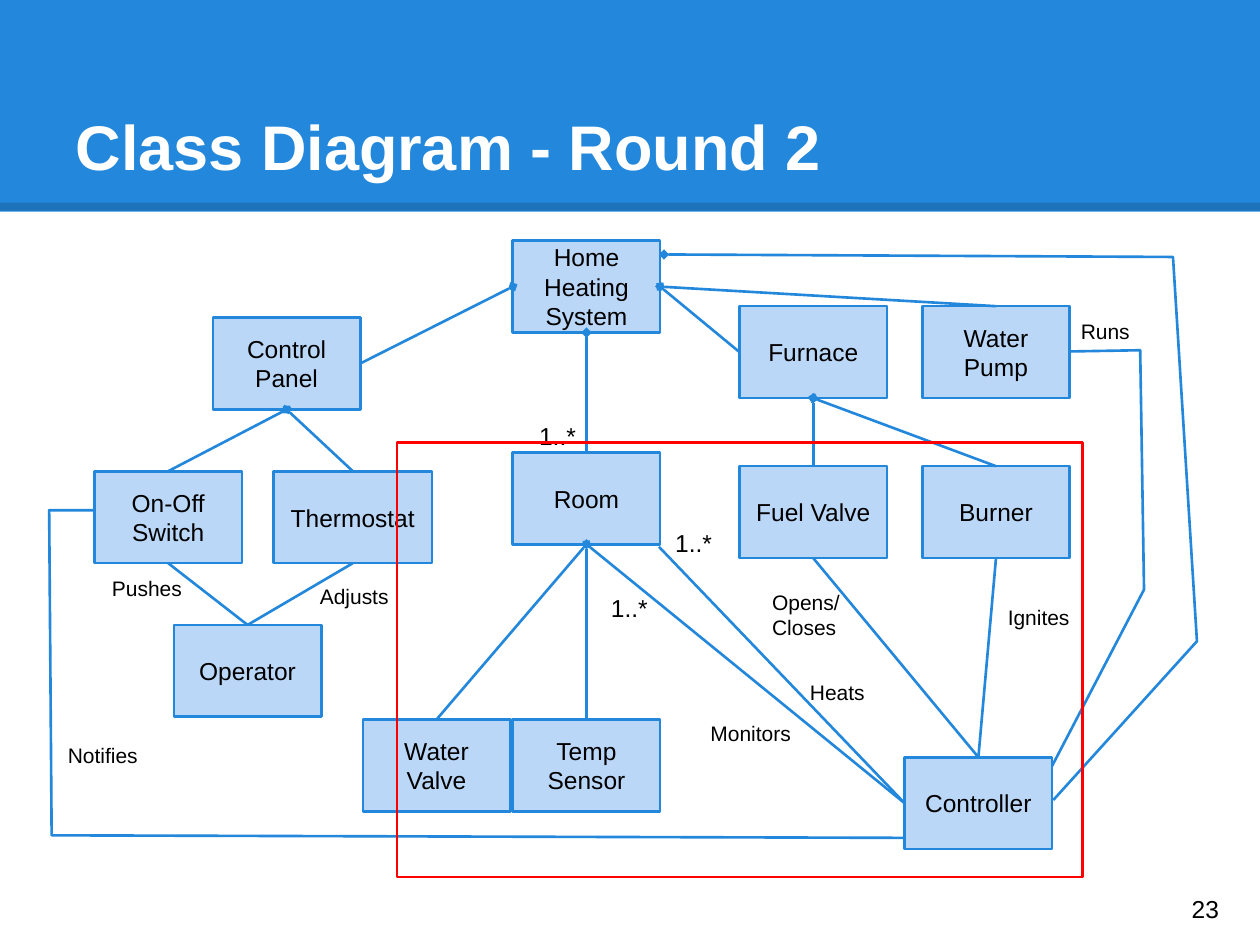
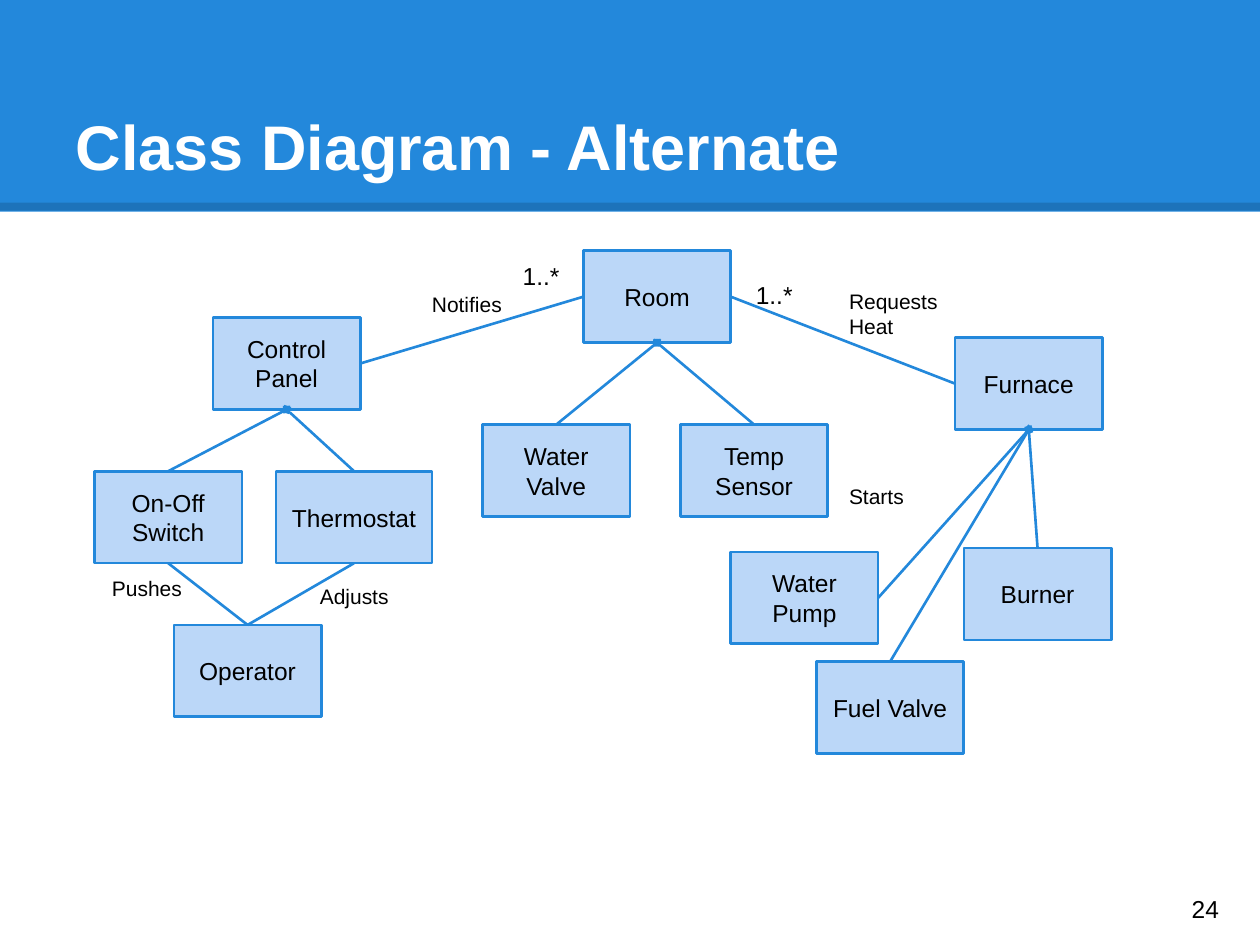
"""Builds two class diagram slides for a home heating system."""
import pptx
import pptx.dml.color
import pptx.enum.shapes
import pptx.enum.text
import pptx.oxml
import pptx.oxml.ns
import pptx.util

Inches, Pt = pptx.util.Inches, pptx.util.Pt
RGBColor = pptx.dml.color.RGBColor
ANCHOR = pptx.enum.text.MSO_ANCHOR
ALIGN = pptx.enum.text.PP_ALIGN
RECTANGLE = pptx.enum.shapes.MSO_SHAPE.RECTANGLE
STRAIGHT = pptx.enum.shapes.MSO_CONNECTOR.STRAIGHT

BLUE = RGBColor(0x23, 0x88, 0xDB)
PALE_BLUE = RGBColor(0xBB, 0xD7, 0xF8)
BLACK = RGBColor(0, 0, 0)
WHITE = RGBColor(0xFF, 0xFF, 0xFF)
RED = RGBColor(0xFF, 0, 0)
FONT = "Arial"
CLASS_WIDTH, CLASS_HEIGHT = 1.17, 0.73
TOP, LEFT, BOTTOM, RIGHT = range(4)

SHARED_CLASSES = {
    "Control Panel": (1.69, 2.52),
    "On-Off Switch": (0.75, 3.74),
    "Operator": (1.38, 4.96),
}
SHARED_WHOLES = [
    (("On-Off Switch", TOP), ("Control Panel", BOTTOM)),
    (("Thermostat", TOP), ("Control Panel", BOTTOM)),
    (("Water Valve", TOP), ("Room", BOTTOM)),
    (("Temp Sensor", TOP), ("Room", BOTTOM)),
    (("Fuel Valve", TOP), ("Furnace", BOTTOM)),
    (("Burner", TOP), ("Furnace", BOTTOM)),
]
SHARED_ASSOCIATIONS = [
    (("Operator", TOP), ("On-Off Switch", BOTTOM)),
    (("Operator", TOP), ("Thermostat", BOTTOM)),
]
SHARED_ROLES = [("Pushes", 0.79, 4.47), ("Adjusts", 2.44, 4.53)]

DIAGRAMS = [
    {
        "title": "Class Diagram - Round 2",
        "number": "23",
        "classes": {
            "Home Heating System": (4.07, 1.91),
            "Thermostat": (2.17, 3.74, 1.26),
            "Room": (4.07, 3.59),
            "Furnace": (5.87, 2.43),
            "Water Pump": (7.32, 2.43),
            "Burner": (7.32, 3.7),
            "Fuel Valve": (5.87, 3.7),
            "Controller": (7.18, 6.01),
            "Temp Sensor": (4.07, 5.71),
            "Water Valve": (2.88, 5.71),
        },
        "wholes": [
            (("Room", TOP), ("Home Heating System", BOTTOM)),
            (("Furnace", LEFT), ("Home Heating System", RIGHT)),
            (("Water Pump", TOP), ("Home Heating System", RIGHT)),
            (("Control Panel", RIGHT), ("Home Heating System", LEFT)),
        ],
        "associations": [
            (("Controller", LEFT), ("Room", BOTTOM)),
            (("Controller", LEFT), (5.23, 4.34)),
            (("Controller", TOP), ("Fuel Valve", BOTTOM)),
            (("Controller", TOP), ("Burner", BOTTOM)),
        ],
        "routes": [
            ([(7.18, 6.65), (0.41, 6.63), (0.39, 4.05), (0.76, 4.05)], False),
            ([(8.36, 6.35), (9.5, 5.09), (9.31, 2.04), (5.27, 2.02)], True),
            ([(8.35, 6.08), (9.08, 4.68), (9.05, 2.78), (8.49, 2.79)], False),
        ],
        "roles": [
            ("Monitors", 5.54, 5.62),
            ("Heats", 6.33, 5.29),
            ("Runs", 8.48, 2.43),
            ("Opens/ Closes", 6.03, 4.58),
            ("Ignites", 7.9, 4.7),
            ("Notifies", 0.44, 5.79),
        ],
        "multiplicities": [(4.18, 3.24), (4.75, 4.61), (5.26, 4.09)],
        "focus": (3.15, 3.51, 5.44, 3.45),
    },
    {
        "title": "Class Diagram - Alternate",
        "number": "24",
        "classes": {
            "Thermostat": (2.19, 3.74, 1.24),
            "Room": (4.63, 1.99),
            "Furnace": (7.58, 2.68),
            "Water Pump": (5.8, 4.38),
            "Burner": (7.65, 4.35),
            "Fuel Valve": (6.48, 5.25),
            "Temp Sensor": (5.4, 3.37),
            "Water Valve": (3.83, 3.37),
        },
        "wholes": [],
        "associations": [
            (("Control Panel", RIGHT), ("Room", LEFT)),
            (("Room", RIGHT), ("Furnace", LEFT)),
            (("Water Pump", RIGHT), ("Furnace", BOTTOM)),
        ],
        "routes": [],
        "roles": [
            ("Notifies", 3.33, 2.21),
            ("Requests Heat", 6.64, 2.19),
            ("Starts", 6.64, 3.74),
        ],
        "multiplicities": [(4.05, 1.97), (5.9, 2.12)],
        "focus": None,
    },
]


def add_element(parent, tag, **attributes):
    element = pptx.oxml.parse_xml(f"<a:{tag} {pptx.oxml.ns.nsdecls('a')}/>")
    for key, value in attributes.items():
        element.set(key, value)
    parent.append(element)


def write(shape, text, size, color=BLACK, anchor=ANCHOR.TOP, align=ALIGN.LEFT, bold=False):
    frame = shape.text_frame
    frame.text = text
    frame.word_wrap = True
    frame.auto_size = pptx.enum.text.MSO_AUTO_SIZE.NONE
    frame.vertical_anchor = anchor
    frame.margin_left = frame.margin_right = Inches(0.1)
    frame.margin_top = frame.margin_bottom = Inches(0.1)
    paragraph = frame.paragraphs[0]
    paragraph.alignment = align
    font = paragraph.runs[0].font
    font.name, font.size, font.bold = FONT, Pt(size), bold
    font.color.rgb = color


def add_text(slide, text, box, size, anchor=ANCHOR.TOP):
    write(slide.shapes.add_textbox(*map(Inches, box)), text, size, anchor=anchor)


def outline(shape, color=BLUE, width=1.5):
    shape.line.color.rgb = color
    shape.line.width = Pt(width)


def add_rectangle(slide, box, fill=None):
    shape = slide.shapes.add_shape(RECTANGLE, *map(Inches, box))
    shape.shadow.inherit = False
    if fill is None:
        shape.fill.background()
    else:
        shape.fill.solid()
        shape.fill.fore_color.rgb = fill
    return shape


def add_line(slide, start, end, color=BLUE, width=1.5):
    line = slide.shapes.add_connector(STRAIGHT, *map(Inches, (*start, *end)))
    outline(line, color, width)
    add_element(line.element.spPr, "effectLst")
    return line


def add_diamond(line):
    add_element(line.element.spPr.get_or_add_ln(), "tailEnd", type="diamond")


def add_band(slide, layout):
    band = add_rectangle(slide, (0, 0, 10, 1.68), BLUE)
    band.line.fill.background()
    edge = add_line(slide, (0, 1.64), (10, 1.64), BLACK, 4.5)
    color = edge.element.spPr.get_or_add_ln().find(".//" + pptx.oxml.ns.qn("a:srgbClr"))
    add_element(color, "alpha", val="15000")
    for position, part in enumerate((band, edge), 2):
        layout.element.cSld.spTree.insert(position, part.element)


def add_route(slide, points, diamond):
    start, *corners = [tuple(map(Inches, point)) for point in points]
    builder = slide.shapes.build_freeform(*start)
    builder.add_line_segments(corners, close=False)
    route = builder.convert_to_shape()
    route.fill.background()
    route.shadow.inherit = False
    outline(route)
    if diamond:
        add_diamond(route)


def add_class(slide, name, left, top, width=CLASS_WIDTH):
    shape = add_rectangle(slide, (left, top, width, CLASS_HEIGHT), PALE_BLUE)
    outline(shape)
    write(shape, name, 14, anchor=ANCHOR.MIDDLE, align=ALIGN.CENTER)
    return shape


def add_link(slide, classes, start, end, diamond=False):
    line = add_line(slide, (0, 0), (1, 1) if end[0] in classes else end)
    line.begin_connect(classes[start[0]], start[1])
    if end[0] in classes:
        line.end_connect(classes[end[0]], end[1])
    if diamond:
        add_diamond(line)


def add_diagram(slide, diagram):
    title = slide.shapes.title
    title.left, title.top, title.width, title.height = map(Inches, (0.5, 0.3, 9, 1.25))
    write(title, diagram["title"], 36, WHITE, ANCHOR.BOTTOM, bold=True)
    for points, diamond in diagram["routes"]:
        add_route(slide, points, diamond)
    places = SHARED_CLASSES | diagram["classes"]
    classes = {name: add_class(slide, name, *place) for name, place in places.items()}
    for start, end in SHARED_WHOLES + diagram["wholes"]:
        add_link(slide, classes, start, end, diamond=True)
    for start, end in SHARED_ASSOCIATIONS + diagram["associations"]:
        add_link(slide, classes, start, end)
    for role, left, top in SHARED_ROLES + diagram["roles"]:
        add_text(slide, role, (left, top, 0.94, 0.49), 12)
    for left, top in diagram["multiplicities"]:
        add_text(slide, "1..*", (left, top, 0.58, 0.24), 14)
    if diagram["focus"]:
        outline(add_rectangle(slide, diagram["focus"]), RED)
    add_text(slide, diagram["number"], (9.36, 6.93, 0.6, 0.57), 14, ANCHOR.MIDDLE)


def main():
    deck = pptx.Presentation()
    deck.slide_width, deck.slide_height = Inches(10), Inches(7.5)
    layout = deck.slide_layouts[5]
    slides = [deck.slides.add_slide(layout) for _ in DIAGRAMS]
    add_band(slides[0], layout)
    for slide, diagram in zip(slides, DIAGRAMS):
        add_diagram(slide, diagram)
    deck.save("out.pptx")


if __name__ == "__main__":
    main()
